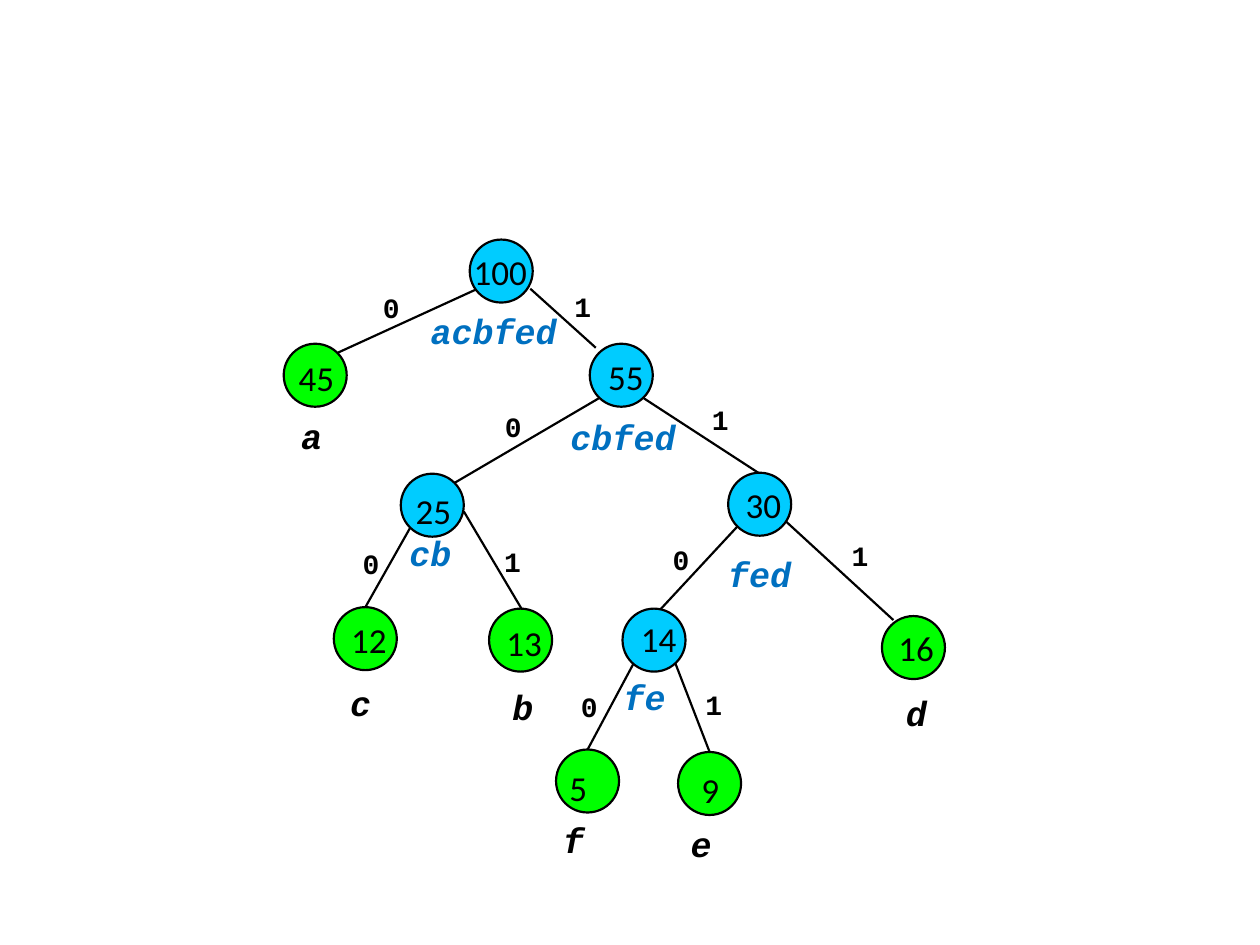
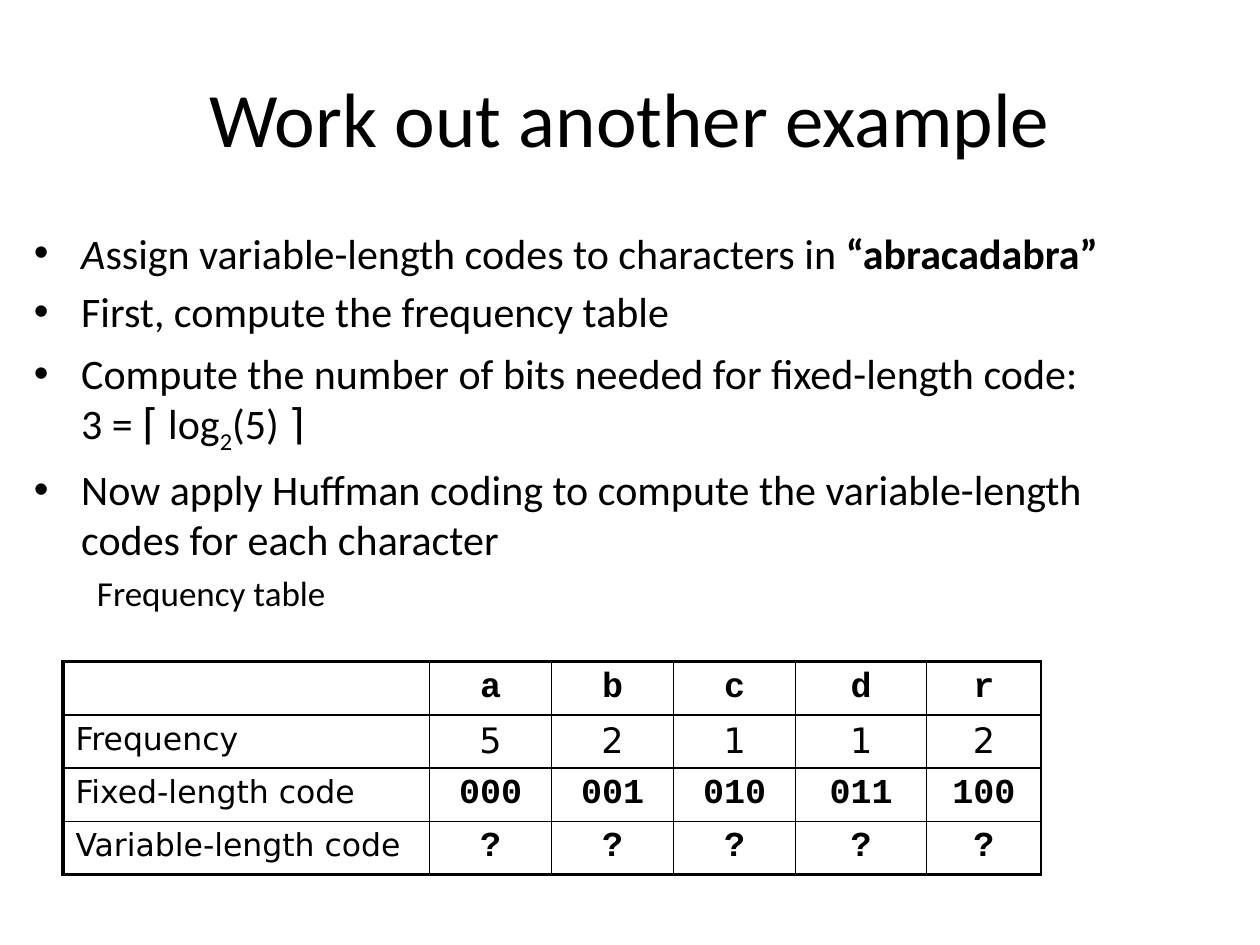
from dataclasses import dataclass

from lxml import etree
from pptx import Presentation
from pptx.dml.color import RGBColor
from pptx.enum.shapes import MSO_CONNECTOR, MSO_SHAPE
from pptx.enum.text import MSO_ANCHOR, MSO_AUTO_SIZE, PP_ALIGN
from pptx.oxml.ns import qn
from pptx.util import Cm, Pt


@dataclass(frozen=True)
class Theme:
    ink: str = "000000"
    leaf: str = "00FF00"
    branch: str = "00CCFF"
    merged: str = "0070C0"
    sans: str = "Calibri"
    mono: str = "Courier New"
    table_sans: str = "DejaVu Sans"
    title_size: int = 44
    list_size: int = 24
    node_size: int = 20
    row_label_size: int = 18
    bit_size: int = 16
    edge_width: float = 1.25
    grid_width: float = 1
    frame_width: float = 2.25


THEME = Theme()
ADVANCE = {THEME.sans: 0.507, THEME.mono: 0.6}
DIAMETER = 1.27
ROW_HEIGHT = 1.07

# name: (letters, circle position, weight position, letters position)
NODES = {
    12: ("c", (6.73, 12.24), (6.83, 12.34), (6.81, 13.61)),
    5: ("f", (11.21, 15.11), (11.23, 15.32), (11.1, 16.38)),
    13: ("b", (9.86, 12.27), (9.96, 12.4), (10.08, 13.69)),
    45: ("a", (5.72, 6.93), (5.77, 7.06), (5.82, 8.23)),
    16: ("d", (17.78, 12.42), (17.86, 12.5), (18.01, 13.82)),
    9: ("e", (13.67, 15.16), (13.89, 15.37), (13.67, 16.46)),
    14: ("fe", (12.55, 12.27), (12.67, 12.32), (12.32, 13.49)),
    30: ("fed", (14.68, 9.53), (14.78, 9.63), (14.43, 11.02)),
    100: ("acbfed", (9.47, 4.83), (9.3, 4.93), (8.43, 6.12)),
    55: ("cbfed", (11.89, 6.93), (12.01, 7.04), (11.25, 8.26)),
    25: ("cb", (8.08, 9.55), (8.13, 9.75), (8.0, 10.59)),
}

EDGES = [
    (45, "0", (9.63, 5.82), (6.81, 7.11), (7.47, 5.74)),
    (55, "1", (10.69, 5.82), (12.01, 7.01), (11.33, 5.72)),
    (25, "0", (12.07, 8.03), (9.17, 9.73), (9.93, 8.13)),
    (30, "1", (12.98, 8.03), (15.44, 9.63), (14.1, 8.0)),
    (12, "0", (8.28, 10.62), None, (7.06, 10.9)),
    (13, "1", (9.35, 10.31), (10.59, 12.4), (9.91, 10.85)),
    (14, "0", (14.86, 10.62), (13.28, 12.32), (13.31, 10.82)),
    (16, "1", (15.82, 10.49), (18.01, 12.5), (16.92, 10.74)),
    (5, "0", (12.78, 13.36), None, (11.46, 13.77)),
    (9, "1", (13.61, 13.36), None, (13.97, 13.74)),
]

TITLE = "Work out another example"
STEPS = [
    [("A", "italic"), ("ssign variable-length codes to characters in ", ""),
     ("“abracadabra”", "bold")],
    [("First, compute the frequency table", "")],
    [("Compute the number of bits needed for fixed-length code: ", ""),
     ("3 = ⌈ log", "break"), ("2", "subscript"), ("(5) ⌉", "")],
    [("Now apply Huffman coding to compute the variable-length "
      "codes for each character", "")],
]
TABLE_CAPTION = "Frequency table"
CODE_TABLE = [
    ["", "a", "b", "c", "d", "r"],
    ["Frequency", "5", "2", "1", "1", "2"],
    ["Fixed-length code", "000", "001", "010", "011", "100"],
    ["Variable-length code", "?", "?", "?", "?", "?"],
]
COLUMN_WIDTHS = [7.39, 2.46, 2.46, 2.46, 2.64, 2.31]


def style_font(font, name, size, color=THEME.ink, bold=False, italic=False):
    font.name = name
    font.size = Pt(size)
    font.color.rgb = RGBColor.from_string(color)
    font.bold = bold
    font.italic = italic


def add_label(shapes, text, position, name, size, **style):
    width = 0.56 + len(text) * ADVANCE[name] * Pt(size).cm
    height = 0.25 + 1.23 * Pt(size).cm
    box = shapes.add_textbox(*map(Cm, position), Cm(width), Cm(height))
    box.text_frame.word_wrap = True
    box.text_frame.text = text
    style_font(box.text_frame.paragraphs[0].runs[0].font, name, size, **style)


def add_edge(slide, start, end):
    edge = slide.shapes.add_connector(
        MSO_CONNECTOR.STRAIGHT, *map(Cm, start), *map(Cm, end))
    edge.line.color.rgb = RGBColor.from_string(THEME.ink)
    edge.line.width = Pt(THEME.edge_width)
    etree.SubElement(edge._element.spPr, qn("a:effectLst"))
    return edge


def add_node(slide, weight, letters, circle_at, weight_at, letters_at):
    is_leaf = len(letters) == 1
    shapes = slide.shapes.add_group_shape().shapes
    circle = shapes.add_shape(
        MSO_SHAPE.OVAL, *map(Cm, circle_at), Cm(DIAMETER), Cm(DIAMETER))
    circle.shadow.inherit = False
    circle.fill.solid()
    circle.fill.fore_color.rgb = RGBColor.from_string(
        THEME.leaf if is_leaf else THEME.branch)
    circle.line.color.rgb = RGBColor.from_string(THEME.ink)
    circle.line.width = Pt(THEME.edge_width)
    add_label(shapes, str(weight), weight_at, THEME.sans, THEME.node_size)
    add_label(shapes, letters, letters_at, THEME.mono, THEME.node_size,
              color=THEME.ink if is_leaf else THEME.merged,
              bold=True, italic=True)
    return circle


def build_tree_slide(presentation):
    slide = presentation.slides.add_slide(presentation.slide_layouts[6])
    edges = [(child, end, add_edge(slide, start, end or NODES[child][1]))
             for child, bit, start, end, bit_at in EDGES]
    for child, bit, start, end, bit_at in EDGES:
        add_label(slide.shapes, bit, bit_at, THEME.mono, THEME.bit_size, bold=True)
    circles = {weight: add_node(slide, weight, *node)
               for weight, node in NODES.items()}
    for child, end, edge in edges:
        if end is None:
            edge.end_connect(circles[child], 0)


def place(shape, left, top, width, height):
    shape.left, shape.top = Cm(left), Cm(top)
    shape.width, shape.height = Cm(width), Cm(height)


def fill_steps(text_frame):
    text_frame.auto_size = MSO_AUTO_SIZE.NONE
    for index, pieces in enumerate(STEPS):
        paragraph = text_frame.paragraphs[0] if index == 0 else text_frame.add_paragraph()
        for text, kind in pieces:
            if kind == "break":
                paragraph.add_line_break()
            run = paragraph.add_run()
            run.text = text
            style_font(run.font, THEME.sans, THEME.list_size,
                       bold=kind == "bold", italic=kind == "italic")
            if kind == "subscript":
                run._r.get_or_add_rPr().set("baseline", "-25000")
    caption = text_frame.add_paragraph()
    caption.text = TABLE_CAPTION
    caption.level = 1
    etree.SubElement(caption._p.get_or_add_pPr(), qn("a:buNone"))
    style_font(caption.runs[0].font, THEME.sans, THEME.node_size)


def set_borders(cell, widths):
    properties = cell._tc.get_or_add_tcPr()
    for side, width in widths.items():
        line = etree.SubElement(properties, qn(f"a:ln{side}"), w=str(Pt(width)))
        fill = etree.SubElement(line, qn("a:solidFill"))
        etree.SubElement(fill, qn("a:srgbClr"), val=THEME.ink)


def add_code_table(slide):
    row_count, column_count = len(CODE_TABLE), len(COLUMN_WIDTHS)
    table = slide.shapes.add_table(
        row_count, column_count, Cm(1.27), Cm(13.34),
        Cm(sum(COLUMN_WIDTHS)), Cm(ROW_HEIGHT * row_count)).table
    table.first_row = False
    table.horz_banding = False
    for column, width in zip(table.columns, COLUMN_WIDTHS):
        column.width = Cm(width)
    for row_index, values in enumerate(CODE_TABLE):
        table.rows[row_index].height = Cm(ROW_HEIGHT)
        for column_index, value in enumerate(values):
            cell = table.cell(row_index, column_index)
            set_borders(cell, {
                "L": THEME.grid_width if column_index else THEME.frame_width,
                "R": THEME.grid_width,
                "T": THEME.grid_width if row_index else THEME.frame_width,
                "B": THEME.frame_width if row_index == row_count - 1 else THEME.grid_width,
            })
            cell.fill.background()
            if not value:
                continue
            cell.text_frame.text = value
            paragraph = cell.text_frame.paragraphs[0]
            is_label = column_index == 0
            is_code = not is_label and row_index != 1
            paragraph.alignment = PP_ALIGN.LEFT if is_label else PP_ALIGN.CENTER
            style_font(paragraph.runs[0].font,
                       THEME.mono if is_code else THEME.table_sans,
                       THEME.row_label_size if is_label else THEME.node_size,
                       bold=is_code)


def build_exercise_slide(presentation):
    slide = presentation.slides.add_slide(presentation.slide_layouts[1])
    title, body = slide.shapes.title, slide.placeholders[1]
    place(title, 1.27, 0.76, 22.86, 3.18)
    title.text_frame.text = TITLE
    title.text_frame.vertical_anchor = MSO_ANCHOR.MIDDLE
    style_font(title.text_frame.paragraphs[0].runs[0].font,
               THEME.sans, THEME.title_size)
    place(body, 0.43, 4.45, 23.7, 8.89)
    fill_steps(body.text_frame)
    add_code_table(slide)


def main():
    presentation = Presentation()
    presentation.slide_width = Cm(25.4)
    presentation.slide_height = Cm(19.05)
    build_tree_slide(presentation)
    build_exercise_slide(presentation)
    presentation.save("out.pptx")


if __name__ == "__main__":
    main()
